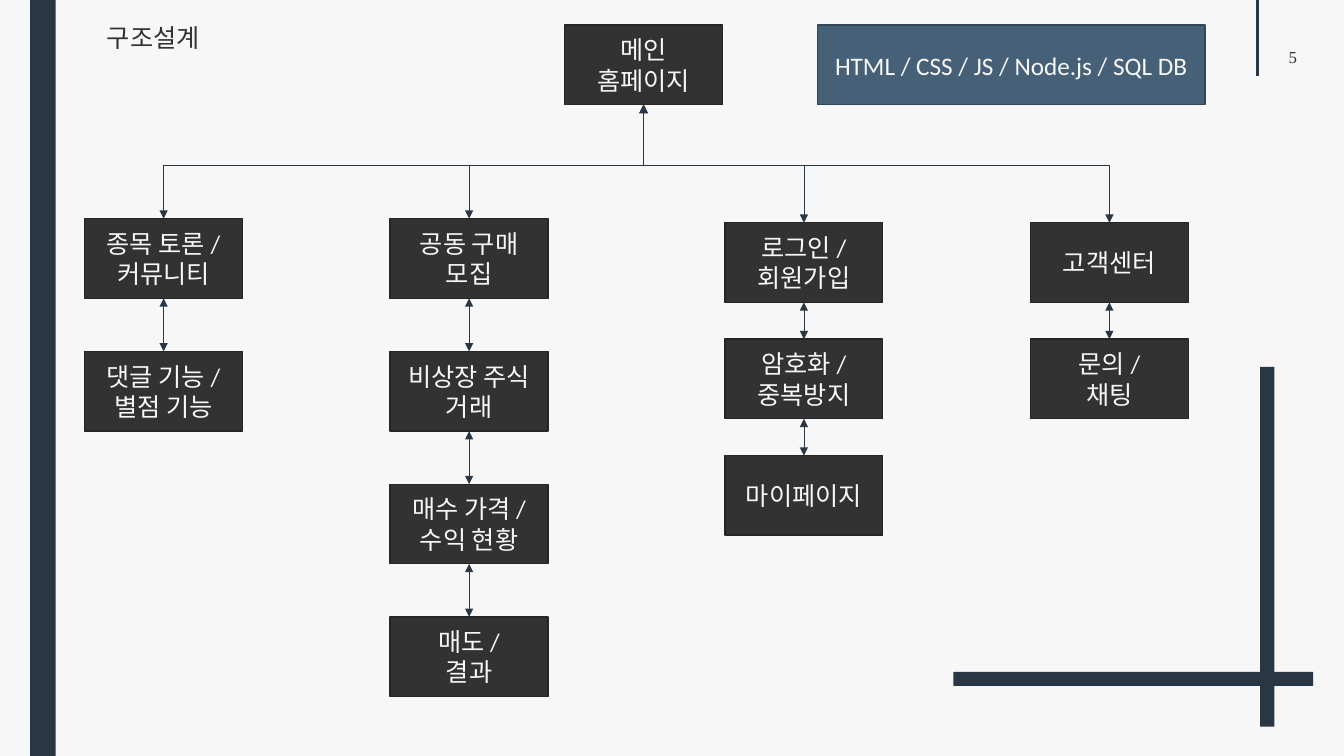
from dataclasses import dataclass
from lxml import etree
from pptx import Presentation
from pptx.dml.color import RGBColor
from pptx.enum.shapes import MSO_CONNECTOR, MSO_SHAPE
from pptx.enum.text import MSO_ANCHOR, MSO_AUTO_SIZE, PP_ALIGN
from pptx.oxml.ns import qn
from pptx.util import Inches, Pt

RECT = MSO_SHAPE.RECTANGLE
LINE, ELBOW = MSO_CONNECTOR.STRAIGHT, MSO_CONNECTOR.ELBOW
TOP, MIDDLE = MSO_ANCHOR.TOP, MSO_ANCHOR.MIDDLE
LEFT, CENTER = PP_ALIGN.LEFT, PP_ALIGN.CENTER
NO_FIT = MSO_AUTO_SIZE.NONE


@dataclass(frozen=True)
class Theme:
    back: str = "F7F7F7"
    ink: str = "323232"
    edge: str = "252525"
    navy: str = "293744"
    steel: str = "466078"
    rim: str = "344759"
    body: str = "Calibri"
    serif: str = "Times New Roman"
    size: int = 18
    small: int = 12
    thin: float = 0.5
    border: float = 1
    thick: float = 2.25


THEME = Theme()
WIDE, HIGH = 13.33, 7.5

TITLE = "구조설계"
NUMBER = "5"
MAIN = "메인 홈페이지"
TECH = "HTML / CSS / JS / Node.js / SQL DB"
BRANCHES = [
    (6.3, 28.93, 17.56, ["종목 토론 /\n커뮤니티", "댓글 기능 /\n별점 기능"]),
    (29.03, 28.93, 17.56, ["공동 구매\n모집", "비상장 주식\n거래",
                           "매수 가격 /\n수익 현황", "매도 /\n결과"]),
    (53.94, 29.47, 15.4, ["로그인 /\n회원가입", "암호화 /\n중복방지", "마이페이지"]),
    (76.67, 29.47, 15.4, ["고객센터", "문의 /\n채팅"]),
]

BOX_W, BOX_H = 11.75, 10.53
HEAD_TOP, MAIN_X = 3.33, 42.01
TECH_X, TECH_W = 60.84, 28.81
DROP = 8
TITLE_AT = (7.2, 2.27, 26.93, 5.33)
NUMBER_AT = (93.2, 6.13, 6, 2.67)
RULE_X, RULE_END = 93.58, 10
BARS = [
    (93.77, 48.53, 1.05, 47.6),
    (70.93, 88.87, 26.78, 1.87),
    (2.25, 0, 1.9, 100),
]


def across(share):
    return Inches(WIDE * share / 100)


def down(share):
    return Inches(HIGH * share / 100)


def frame(x, y, w, h):
    return across(x), down(y), across(w), down(h)


def color(code):
    return RGBColor.from_string(code)


def write(shape, text, font, size, ink, align, anchor):
    body = shape.text_frame
    body.text = text
    body.word_wrap = True
    body.auto_size = NO_FIT
    body.vertical_anchor = anchor
    for para in body.paragraphs:
        para.alignment = align
        para.font.name = font
        para.font.size = Pt(size)
        para.font.color.rgb = color(ink)


def add_rect(slide, at, fill, edge=None):
    shape = slide.shapes.add_shape(RECT, *frame(*at))
    shape.shadow.inherit = False
    shape.fill.solid()
    shape.fill.fore_color.rgb = color(fill)
    if edge:
        shape.line.color.rgb = color(edge)
        shape.line.width = Pt(THEME.border)
    else:
        shape.line.fill.background()
    return shape


def add_box(slide, at, text, fill=THEME.ink, edge=THEME.edge):
    box = add_rect(slide, at, fill, edge)
    write(box, text, THEME.body, THEME.size, THEME.back, CENTER, MIDDLE)
    return box


def add_line(slide, kind, ends, width, arrows=False):
    link = slide.shapes.add_connector(kind, *ends)
    link.line.color.rgb = color(THEME.navy)
    link.line.width = Pt(width)
    if arrows:
        line = link.line._get_or_add_ln()
        for end in ("a:headEnd", "a:tailEnd"):
            etree.SubElement(line, qn(end), type="triangle")
    etree.SubElement(link._element.spPr, qn("a:effectLst"))
    return link


def join(slide, upper, lower, kind=LINE):
    link = add_line(slide, kind, (0, 0, 0, 0), THEME.thin, True)
    link.begin_connect(upper, 2)
    link.end_connect(lower, 0)
    return link


def branch(slide, root, child):
    link = join(slide, root, child, ELBOW)
    x, y, w, h = link.left, link.top, link.width, link.height
    link.left, link.top = x + (w - h) // 2, y + (h - w) // 2
    link.width, link.height = h, w
    right = child.left > root.left
    props = link._element.spPr
    props.xfrm.set("rot", str((270 if right else 90) * 60000))
    props.xfrm.set("flipH", "1" if right else "0")
    guides = props.find(qn("a:prstGeom")).find(qn("a:avLst"))
    bend = round(100000 * down(DROP) / h)
    etree.SubElement(guides, qn("a:gd"), name="adj1", fmla=f"val {bend}")


def main():
    deck = Presentation()
    deck.slide_width, deck.slide_height = Inches(WIDE), Inches(HIGH)
    slide = deck.slides.add_slide(deck.slide_layouts[5])
    slide.background.fill.solid()
    slide.background.fill.fore_color.rgb = color(THEME.back)

    title = slide.shapes.title
    title.left, title.top, title.width, title.height = frame(*TITLE_AT)
    write(title, TITLE, THEME.serif, THEME.size, THEME.ink, LEFT, TOP)

    number = slide.shapes.add_textbox(*frame(*NUMBER_AT))
    write(number, NUMBER, THEME.serif, THEME.small, THEME.ink, CENTER, TOP)
    number.text_frame.margin_top = number.text_frame.margin_bottom = 0

    rule = across(RULE_X)
    add_line(slide, LINE, (rule, 0, rule, down(RULE_END)), THEME.thick)
    for bar in BARS:
        add_rect(slide, bar, THEME.navy)

    root = add_box(slide, (MAIN_X, HEAD_TOP, BOX_W, BOX_H), MAIN)
    add_box(slide, (TECH_X, HEAD_TOP, TECH_W, BOX_H), TECH, THEME.steel, THEME.rim)

    for x, top, pitch, labels in BRANCHES:
        boxes = [add_box(slide, (x, top + row * pitch, BOX_W, BOX_H), label)
                 for row, label in enumerate(labels)]
        branch(slide, root, boxes[0])
        for upper, lower in zip(boxes, boxes[1:]):
            join(slide, upper, lower)

    deck.save("out.pptx")


if __name__ == "__main__":
    main()
